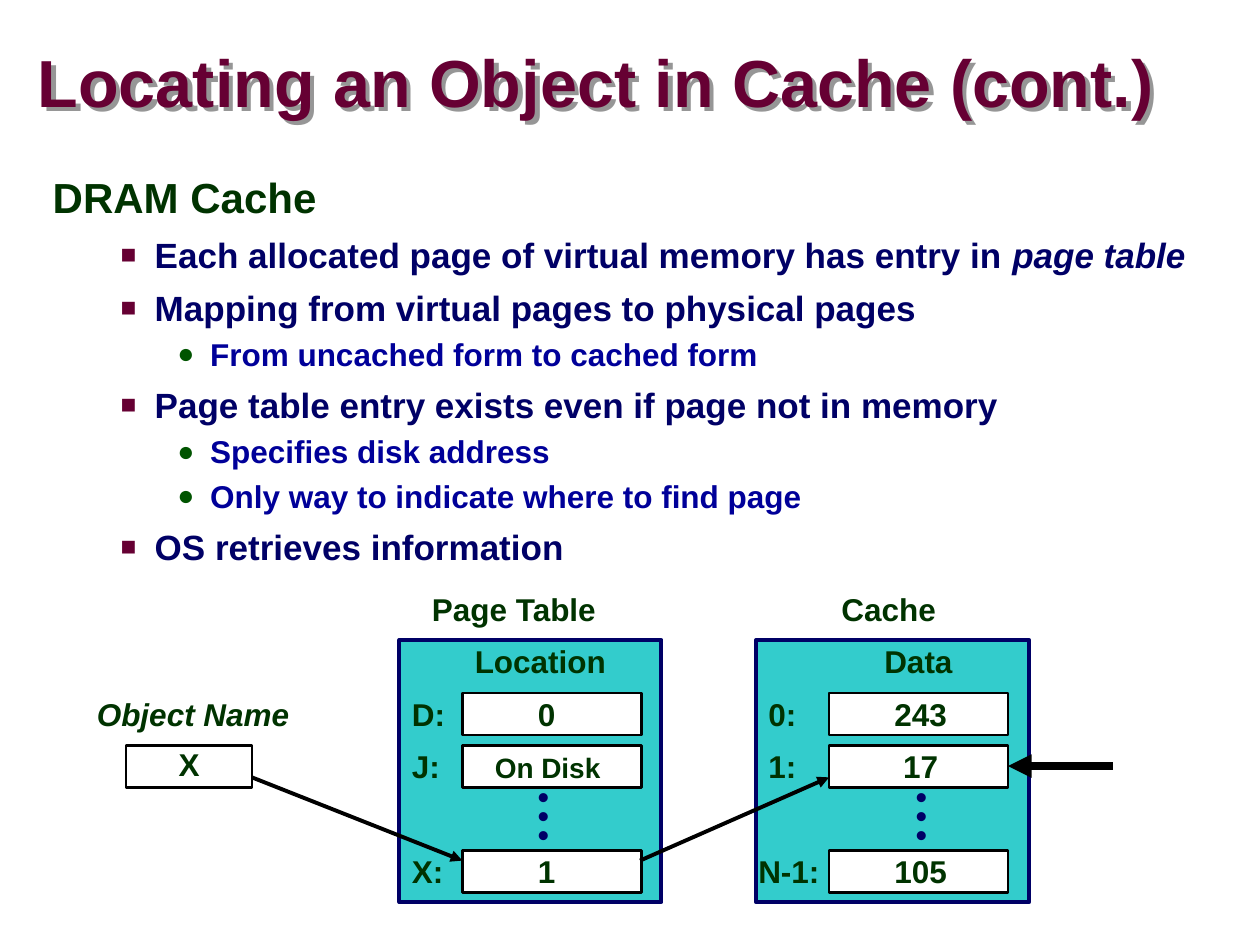
from dataclasses import dataclass

from lxml.etree import SubElement
from pptx import Presentation
from pptx.dml.color import RGBColor as RGB
from pptx.enum.shapes import MSO_CONNECTOR as Connector, MSO_SHAPE as Preset
from pptx.enum.text import MSO_ANCHOR as Anchor, MSO_AUTO_SIZE as AutoSize, PP_ALIGN as Align
from pptx.oxml.ns import qn
from pptx.util import Inches, Pt


@dataclass(frozen=True)
class Theme:
    font: str = "Arial"
    maroon: str = "660033"
    navy: str = "000066"
    blue: str = "000099"
    green: str = "003300"
    bullet_green: str = "005400"
    teal: str = "33CCCC"
    white: str = "FFFFFF"
    black: str = "000000"
    shadow: str = "969696"
    title: int = 38
    heading: int = 24
    point: int = 20
    label: int = 18
    small: int = 16


THEME = Theme()
ROW_STEP = 5 / 12
CELL_HEIGHT = 1 / 3
CELL_WIDTH = 1.42
FIRST_ROW = 5.5
ROWS = [FIRST_ROW + ROW_STEP * slot for slot in (0, 1, 3)]
LABEL_SLACK = 0.02


class SlideBuilder:
    def __init__(self, slide, theme):
        self.slide = slide
        self.theme = theme

    def style(self, paragraph, size, color, italic=False):
        for run in paragraph.runs:
            run.font.name = self.theme.font
            run.font.size = Pt(size)
            run.font.bold = True
            run.font.italic = italic
            run.font.color.rgb = RGB.from_string(color)

    def text_box(self, left, top, width, height, wrap=True):
        box = self.slide.shapes.add_textbox(*map(Inches, (left, top, width, height)))
        box.text_frame.word_wrap = wrap
        return box

    def title(self, text):
        box = self.text_box(0.3, 0.37, 9.53, 0.63)
        frame = box.text_frame
        frame.margin_left = frame.margin_right = frame.margin_top = frame.margin_bottom = 0
        frame.vertical_anchor = Anchor.MIDDLE
        frame.text = text
        frame.paragraphs[0].line_spacing = 0.87
        self.style(frame.paragraphs[0], self.theme.title, self.theme.maroon)
        effects = SubElement(box.element.spPr, qn("a:effectLst"))
        shadow = SubElement(effects, qn("a:outerShdw"), dist=str(Inches(0.05)), dir="2700000")
        SubElement(shadow, qn("a:srgbClr"), val=self.theme.shadow)

    def bullet(self, paragraph, mark, color, scale, margin, hanging):
        props = paragraph._p.get_or_add_pPr()
        props.set("marL", str(Inches(margin)))
        props.set("indent", str(Inches(-hanging)))
        tint = SubElement(props, qn("a:buClr"))
        SubElement(tint, qn("a:srgbClr"), val=color)
        SubElement(props, qn("a:buSzPct"), val=str(scale * 1000))
        SubElement(props, qn("a:buFont"), typeface=self.theme.font)
        SubElement(props, qn("a:buChar"), char=mark)

    def outline(self, heading, points):
        theme = self.theme
        frame = self.text_box(0.32, 1.34, 9.27, 5.71).text_frame
        frame.text = heading
        frame.paragraphs[0].line_spacing = 0.95
        self.style(frame.paragraphs[0], theme.heading, theme.green)
        for level, text, emphasis in points:
            paragraph = frame.add_paragraph()
            paragraph.text = text
            paragraph.level = level
            if level == 1:
                self.bullet(paragraph, "■", theme.maroon, 75, 0.81, 0.27)
                paragraph.space_before = Pt(6.2)
                paragraph.line_spacing = 1.0
                self.style(paragraph, theme.point, theme.navy)
            else:
                self.bullet(paragraph, "●", theme.bullet_green, 90, 1.25, 0.26)
                paragraph.space_before = Pt(2.2)
                paragraph.line_spacing = 1.07
                self.style(paragraph, theme.label, theme.blue)
            if emphasis:
                paragraph.add_run().text = emphasis
                self.style(paragraph, theme.point, theme.navy)
                paragraph.runs[-1].font.italic = True

    def label(self, text, left, top, width, size=None, italic=False):
        frame = self.text_box(left, top, width + LABEL_SLACK, 0.37, wrap=False).text_frame
        frame.auto_size = AutoSize.SHAPE_TO_FIT_TEXT
        frame.text = text
        frame.paragraphs[0].line_spacing = 0.9
        self.style(frame.paragraphs[0], size or self.theme.label, self.theme.green, italic)

    def box(self, left, top, width, height, fill, line, weight):
        rect = self.slide.shapes.add_shape(
            Preset.RECTANGLE, *map(Inches, (left, top, width, height)))
        rect.shadow.inherit = False
        rect.fill.solid()
        rect.fill.fore_color.rgb = RGB.from_string(fill)
        rect.line.color.rgb = RGB.from_string(line)
        rect.line.width = Pt(weight)

    def cell(self, left, top, width=CELL_WIDTH):
        self.box(left, top, width, CELL_HEIGHT, self.theme.white, self.theme.black, 1.5)

    def ellipsis(self, left):
        frame = self.text_box(left, 6.25, 0.27, 0.55).text_frame
        frame.text = "\n".join("•" * 3)
        for paragraph in frame.paragraphs:
            paragraph.alignment = Align.CENTER
            paragraph.line_spacing = 0.5
            self.style(paragraph, self.theme.label, self.theme.navy)

    def store(self, left, width, cell_left, dots_left, caption, header, rows):
        self.box(left, 5.08, width, 2.08, self.theme.teal, self.theme.navy, 2.25)
        name, name_left, name_width = caption
        self.label(name, name_left, 4.67, name_width)
        column, column_left, column_width = header
        self.label(column, column_left, 5.08, column_width)
        for top, (key, value) in zip(ROWS, rows):
            self.cell(cell_left, top)
            key_text, key_left, key_width = key
            self.label(key_text, key_left, top, key_width)
            value_text, value_left, value_width, *size = value
            drop = 0.02 if size else 0
            self.label(value_text, value_left, top + drop, value_width, *size)
        self.ellipsis(dots_left)

    def arrow(self, start, end, weight=2.25):
        link = self.slide.shapes.add_connector(
            Connector.STRAIGHT, *map(Inches, (*start, *end)))
        link.line.color.rgb = RGB.from_string(self.theme.black)
        link.line.width = Pt(weight)
        props = link.element.spPr
        SubElement(props.find(qn("a:ln")), qn("a:tailEnd"), type="triangle")
        SubElement(props, qn("a:effectLst"))


def main():
    deck = Presentation()
    deck.slide_width, deck.slide_height = Inches(10), Inches(7.5)
    page = SlideBuilder(deck.slides.add_slide(deck.slide_layouts[6]), THEME)

    page.title("Locating an Object in Cache (cont.)")
    page.store(
        6, 2.17, 6.58, 7.17, ("Cache", 6.58, 0.95), ("Data", 6.92, 0.74),
        [(("0:", 6, 0.42), ("243", 7, 0.62)),
         (("1:", 6, 0.42), ("17", 7.07, 0.48)),
         (("N-1:", 5.92, 0.68), ("105", 7, 0.62))])
    page.store(
        3.17, 2.08, 3.67, 4.17, ("Page Table", 3.33, 1.52), ("Location", 3.67, 1.24),
        [(("D:", 3.17, 0.46), ("0", 4.17, 0.34)),
         (("J:", 3.17, 0.42), ("On Disk", 3.83, 1.04, THEME.small)),
         (("X:", 3.17, 0.45), ("1", 4.17, 0.34))])
    page.cell(1, ROWS[1], 1)
    page.label("X", 1.32, 5.9, 0.37)
    page.label("Object Name", 0.67, FIRST_ROW, 1.73, italic=True)

    page.arrow((2, 6.17), (3.67, 6.83))
    page.arrow((5.08, 6.83), (6.58, 6.17))
    page.arrow((8.83, 6.08), (8, 6.08), 4.5)

    page.outline("DRAM Cache", [
        (1, "Each allocated page of virtual memory has entry in ", "page table"),
        (1, "Mapping from virtual pages to physical pages", ""),
        (2, "From uncached form to cached form", ""),
        (1, "Page table entry exists even if page not in memory", ""),
        (2, "Specifies disk address", ""),
        (2, "Only way to indicate where to find page", ""),
        (1, "OS retrieves information", ""),
    ])
    deck.save("out.pptx")


if __name__ == "__main__":
    main()
